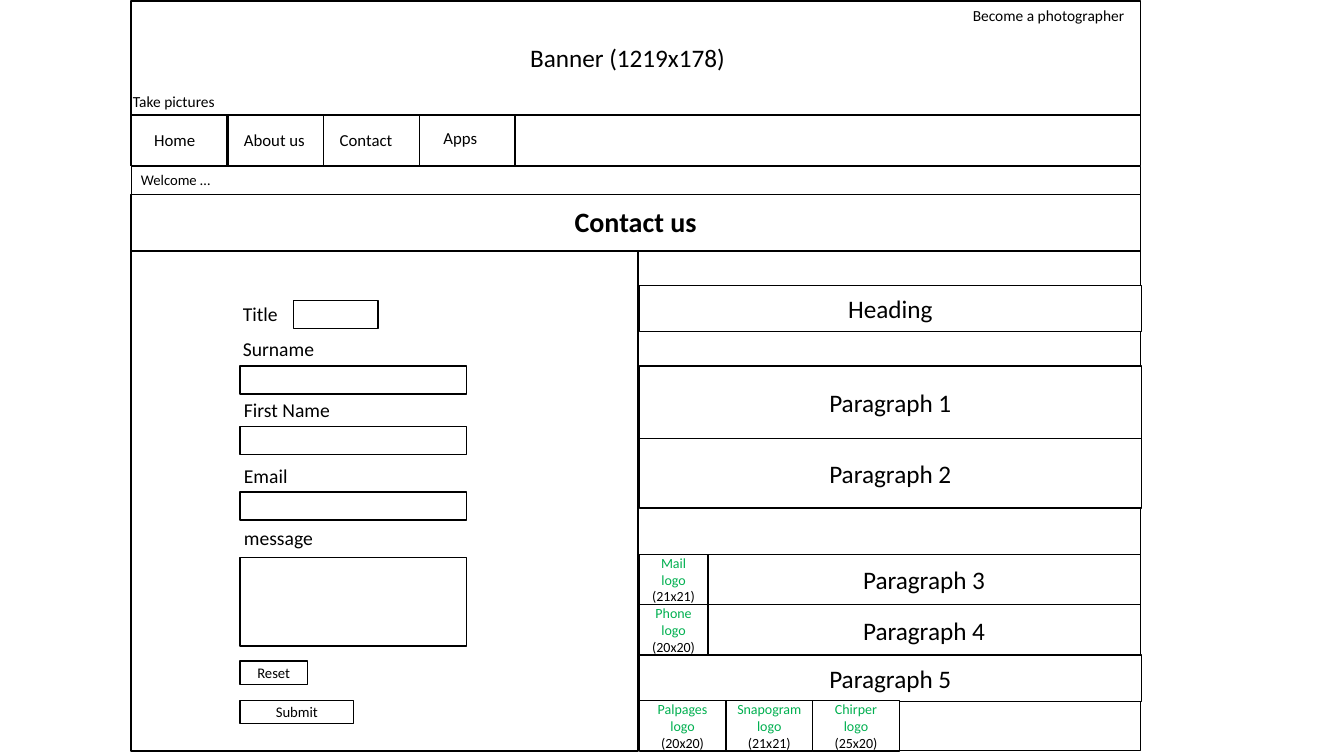
import math
from dataclasses import dataclass

import pptx
import pptx.dml.color
import pptx.enum.shapes
import pptx.enum.text
import pptx.presentation
import pptx.shapes.base
import pptx.slide
import pptx.text.text
import pptx.util

EMU_PER_PX = 9144  # 100 px to the inch


@dataclass(frozen=True)
class Theme:
    font: str = "Calibri"
    ink: str = "000000"
    paper: str = "FFFFFF"
    logo: str = "00B050"
    title: float = 20
    block: float = 18
    field: float = 14
    nav: float = 12
    note: float = 11
    small: float = 10.5
    icon: float = 10
    line: float = 1
    thin_line: float = 0.75


THEME = Theme()


@dataclass(frozen=True)
class Area:
    left: int
    top: int
    width: int
    height: int


@dataclass(frozen=True)
class Box:
    area: Area
    text: str = ""
    size: float = THEME.block
    first_color: str = THEME.ink
    filled: bool = True
    line: float = THEME.line


@dataclass(frozen=True)
class Label:
    area: Area
    text: str
    size: float
    bold: bool = False


@dataclass(frozen=True)
class Field:
    caption: str
    caption_left: int
    caption_top: int
    input_top: int
    input_height: int = 28


def px(length: int) -> pptx.util.Emu:
    return pptx.util.Emu(length * EMU_PER_PX)


def place(area: Area) -> tuple[pptx.util.Emu, ...]:
    return px(area.left), px(area.top), px(area.width), px(area.height)


def rgb(color: str) -> pptx.dml.color.RGBColor:
    return pptx.dml.color.RGBColor.from_string(color)


def style(paragraph: pptx.text.text._Paragraph, size: float, color: str, bold: bool = False) -> None:
    for run in paragraph.runs:
        run.font.name = THEME.font
        run.font.size = pptx.util.Pt(size)
        run.font.bold = bold
        run.font.color.rgb = rgb(color)


def draw_box(slide: pptx.slide.Slide, box: Box) -> None:
    shape = slide.shapes.add_shape(pptx.enum.shapes.MSO_SHAPE.RECTANGLE, *place(box.area))
    shape.shadow.inherit = False
    if box.filled:
        shape.fill.solid()
        shape.fill.fore_color.rgb = rgb(THEME.paper)
    else:
        shape.fill.background()
    shape.line.color.rgb = rgb(THEME.ink)
    shape.line.width = pptx.util.Pt(box.line)
    if box.text:
        frame = shape.text_frame
        frame.text = box.text
        frame.word_wrap = True
        frame.vertical_anchor = pptx.enum.text.MSO_ANCHOR.MIDDLE
        for index, paragraph in enumerate(frame.paragraphs):
            paragraph.alignment = pptx.enum.text.PP_ALIGN.CENTER
            style(paragraph, box.size, THEME.ink if index else box.first_color)


def draw_label(slide: pptx.slide.Slide, label: Label) -> None:
    frame = slide.shapes.add_textbox(*place(label.area)).text_frame
    frame.text = label.text
    frame.word_wrap = True
    frame.auto_size = pptx.enum.text.MSO_AUTO_SIZE.SHAPE_TO_FIT_TEXT
    style(frame.paragraphs[0], label.size, THEME.ink, label.bold)


def logo_box(area: Area, name: str, dimensions: str) -> Box:
    return Box(area, f"{name} logo\n({dimensions})", THEME.icon, THEME.logo)


# Page grid
PAGE_LEFT, PAGE_WIDTH = 130, 1001
SIDE_LEFT, SIDE_WIDTH = 634, 498
FORM_LEFT, FORM_WIDTH = 238, 225
ICON_WIDTH, ICON_HEIGHT, SOCIAL_WIDTH = 68, 50, 86
NAV_TOP, NAV_HEIGHT, NAV_SPAN = 113, 51, 286

# Wording of the repeated parts: caption, left and top of each menu label
MENU = [("Home", 143, 124), ("About us", 232, 124), ("Contact", 327, 124), ("Apps", 430, 122)]
FIELDS = [
    Field("Surname", 231, 329, 363),
    Field("First Name", 232, 390, 423),
    Field("Email", 232, 455, 488),
    Field("message", 232, 517, 553, 88),
]
BUTTONS = [("Reset", 656, 67), ("Submit", 695, 113)]
SIDE_ROWS = [("Heading", 283, 46), ("Paragraph 1", 363, 73), ("Paragraph 2", 435, 69), ("Paragraph 5", 650, 46)]
CONTACT_ROWS = [("Mail", "21x21", "Paragraph 3"), ("Phone", "20x20", "Paragraph 4")]
SOCIAL = [("Palpages", "20x20"), ("Snapogram", "21x21"), ("Chirper", "25x20")]


def draw_header(slide: pptx.slide.Slide) -> None:
    # Navigation bar
    draw_box(slide, Box(Area(PAGE_LEFT, NAV_TOP, PAGE_WIDTH, NAV_HEIGHT)))
    for index, (caption, left, top) in enumerate(MENU):
        cell_left = PAGE_LEFT + math.ceil(index * NAV_SPAN / 3)
        draw_box(slide, Box(Area(cell_left, NAV_TOP, 95, NAV_HEIGHT)))
        draw_label(slide, Label(Area(left, top, 95, 30), caption, THEME.nav))

    # Banner
    draw_box(slide, Box(Area(PAGE_LEFT, 1, PAGE_WIDTH, 113)))
    draw_label(slide, Label(Area(516, 37, 430, 40), "Banner (1219x178)", THEME.block))
    draw_label(slide, Label(Area(122, 86, 164, 29), "Take pictures", THEME.note))
    draw_label(slide, Label(Area(955, 1, 176, 29), "Become a photographer", THEME.note))

    # Welcome strip, page frame and page title
    welcome = Area(PAGE_LEFT, 165, PAGE_WIDTH, 28)
    draw_label(slide, Label(welcome, "Welcome …", THEME.small))
    for area in (welcome, Area(PAGE_LEFT, 193, PAGE_WIDTH, 552)):
        draw_box(slide, Box(area, filled=False, line=THEME.thin_line))
    draw_box(slide, Box(Area(PAGE_LEFT, 193, PAGE_WIDTH, 56)))
    draw_label(slide, Label(Area(560, 198, 142, 44), "Contact us", THEME.title, bold=True))


def draw_form(slide: pptx.slide.Slide) -> None:
    draw_box(slide, Box(Area(PAGE_LEFT, 249, 503, 496)))
    draw_label(slide, Label(Area(231, 295, 97, 34), "Title", THEME.field))
    draw_box(slide, Box(Area(291, 298, 84, 28)))
    for field in FIELDS:
        caption_area = Area(field.caption_left, field.caption_top, 119, 34)
        draw_label(slide, Label(caption_area, field.caption, THEME.field))
        draw_box(slide, Box(Area(FORM_LEFT, field.input_top, FORM_WIDTH, field.input_height)))
    for caption, top, width in BUTTONS:
        draw_box(slide, Box(Area(FORM_LEFT, top, width, 23), caption, THEME.small))


def draw_side_column(slide: pptx.slide.Slide) -> None:
    for text, top, height in SIDE_ROWS:
        draw_box(slide, Box(Area(SIDE_LEFT, top, SIDE_WIDTH, height), text))

    # Contact details with icons
    for index, (name, dimensions, text) in enumerate(CONTACT_ROWS):
        top = 550 + index * ICON_HEIGHT
        draw_box(slide, logo_box(Area(SIDE_LEFT, top, ICON_WIDTH, ICON_HEIGHT), name, dimensions))
        draw_box(slide, Box(Area(SIDE_LEFT + ICON_WIDTH, top, 429, ICON_HEIGHT), text))

    # Social links
    for index, (name, dimensions) in enumerate(SOCIAL):
        area = Area(SIDE_LEFT + index * SOCIAL_WIDTH, 695, SOCIAL_WIDTH, ICON_HEIGHT)
        draw_box(slide, logo_box(area, name, dimensions))


def main() -> None:
    presentation = pptx.Presentation()
    presentation.slide_width = px(1333)
    presentation.slide_height = px(750)
    slide = presentation.slides.add_slide(presentation.slide_layouts[6])
    draw_header(slide)
    draw_form(slide)
    draw_side_column(slide)
    presentation.save("out.pptx")


if __name__ == "__main__":
    main()
